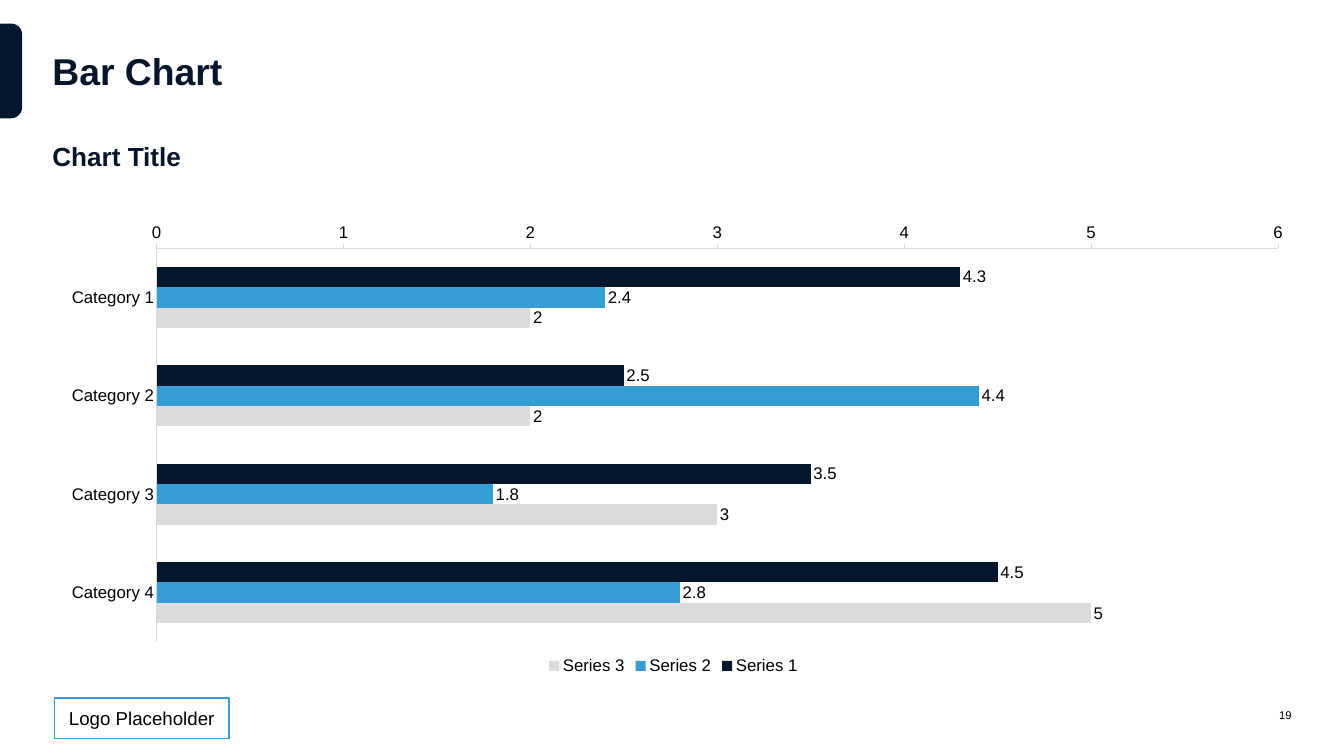
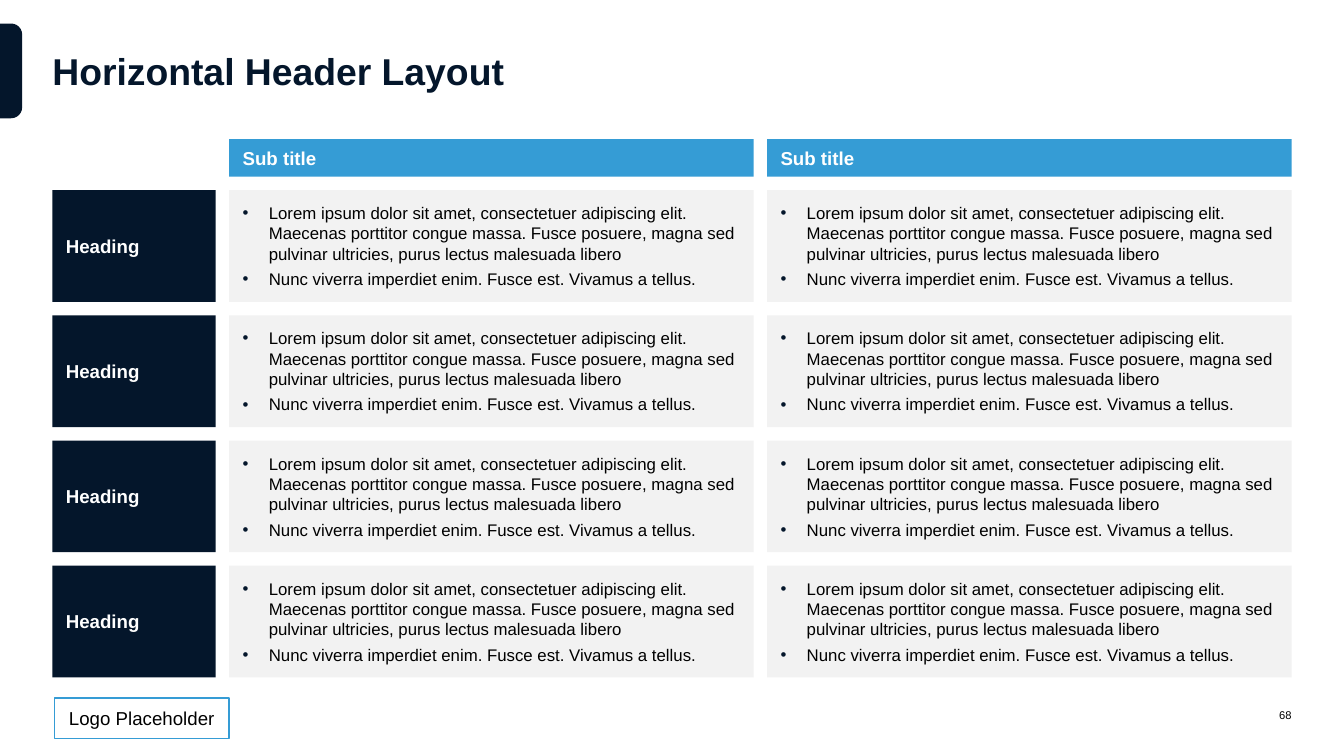
from dataclasses import dataclass

from lxml.etree import SubElement
from pptx import Presentation
from pptx.chart.data import CategoryChartData
from pptx.dml.color import RGBColor
from pptx.enum.chart import XL_CHART_TYPE, XL_LABEL_POSITION, XL_LEGEND_POSITION, XL_TICK_MARK
from pptx.enum.shapes import MSO_SHAPE
from pptx.enum.text import MSO_ANCHOR, MSO_AUTO_SIZE, PP_ALIGN
from pptx.oxml import parse_xml
from pptx.oxml.ns import nsdecls, qn
from pptx.util import Inches, Pt


@dataclass(frozen=True)
class Theme:
    """Colours, font and type sizes shared by the slides."""
    navy: str = "04162B"
    blue: str = "359CD5"
    silver: str = "DCDCDC"
    axis: str = "D9D9D9"
    panel: str = "F2F2F2"
    black: str = "000000"
    white: str = "FFFFFF"
    font: str = "Arial"
    title: int = 40
    chart_title: int = 28
    heading: int = 20
    body: int = 18
    number: int = 12


T = Theme()
LEFT, WIDTH, FOOT = 0.78, 18.44, 10.39
GAP, PAD, INDENT = 0.2, 0.2, 0.39
BULLETS = [
    "Lorem ipsum dolor sit amet, consectetuer adipiscing elit. Maecenas porttitor congue massa. "
    "Fusce posuere, magna sed pulvinar ultricies, purus lectus malesuada libero",
    "Nunc viverra imperdiet enim. Fusce est. Vivamus a tellus.",
]
CATEGORIES = [f"Category {i}" for i in range(1, 5)]
SERIES = [
    ("Series 1", (4.3, 2.5, 3.5, 4.5), T.navy),
    ("Series 2", (2.4, 4.4, 1.8, 2.8), T.blue),
    ("Series 3", (2, 2, 3, 5), T.silver),
]
PLOT = {"x": 0.083, "y": 0.133, "w": 0.905, "h": 0.793}


def apply(target, formats):
    """Set each attribute of a dict of format values."""
    for name, value in formats.items():
        setattr(target, name, value)


def style_font(font, size, color, bold=False):
    """Give a font the theme face, a size, a colour and a weight."""
    apply(font, {"name": T.font, "size": Pt(size), "bold": bold})
    font.color.rgb = RGBColor.from_string(color)


def style_line(line, color, width):
    """Give a line a colour and a width in points."""
    line.color.rgb = RGBColor.from_string(color)
    line.width = Pt(width)


def add_bullet(p):
    """Give a paragraph a hanging round bullet."""
    pPr = p._p.get_or_add_pPr()
    pPr.set("marL", str(Inches(INDENT)))
    pPr.set("indent", str(-Inches(INDENT)))
    color = SubElement(SubElement(pPr, qn("a:buClr")), qn("a:srgbClr"))
    color.set("val", T.navy)
    SubElement(pPr, qn("a:buFont")).set("typeface", T.font)
    SubElement(pPr, qn("a:buChar")).set("char", "•")


def write(sp, lines, size, color, bold=False, align=PP_ALIGN.LEFT, pad=0.0,
          anchor=MSO_ANCHOR.MIDDLE, bullets=False):
    """Fill a shape's text frame with one paragraph per line."""
    tf = sp.text_frame
    apply(tf, {"word_wrap": True, "vertical_anchor": anchor})
    apply(tf, {f"margin_{side}": Inches(pad) for side in ("left", "top", "right", "bottom")})
    for i, line in enumerate(lines):
        p = tf.add_paragraph() if i else tf.paragraphs[0]
        p.alignment = align
        if bullets:
            add_bullet(p)
            apply(p, {"space_before": Pt(3 if i else 0), "space_after": Pt(3)})
        r = p.add_run()
        r.text = line
        style_font(r.font, size, color, bold)


def add_block(s, kind, box, fill, outline=None):
    """Add a flat filled shape in a box, with an optional outline."""
    sp = s.shapes.add_shape(kind, *map(Inches, box))
    sp.shadow.inherit = False
    sp.fill.solid()
    sp.fill.fore_color.rgb = RGBColor.from_string(fill)
    if outline:
        style_line(sp.line, outline, 1.5)
    else:
        sp.line.fill.background()
    return sp


def add_text(s, box, text, size, color, **formats):
    """Add a text box without insets."""
    sp = s.shapes.add_textbox(*map(Inches, box))
    write(sp, [text], size, color, **formats)
    return sp


def add_frame(prs, title, number):
    """Add a slide with its side tab, logo box, title and page number."""
    s = prs.slides.add_slide(prs.slide_layouts[6])
    tab = add_block(s, MSO_SHAPE.ROUND_2_SAME_RECTANGLE, (-0.54, 0.89, 1.41, 0.33), T.navy)
    tab.rotation = 90
    tab.adjustments[0] = 0.5
    logo = add_block(s, MSO_SHAPE.ROUNDED_RECTANGLE, (0.81, FOOT, 2.6, 0.6), T.white, T.blue)
    logo.adjustments[0] = 0
    write(logo, ["Logo Placeholder"], T.heading, T.black, align=PP_ALIGN.CENTER, pad=0.1)
    add_text(s, (LEFT, 0.35, WIDTH, 1.39), title, T.title, T.navy, bold=True)
    add_text(s, (LEFT + WIDTH - 0.88, FOOT, 0.88, 0.51), str(number), T.number, T.black,
             align=PP_ALIGN.RIGHT)
    return s


def place_plot(chart):
    """Fix the inner plot area as fractions of the chart."""
    plot_area = chart._chartSpace.chart.plotArea
    for old in plot_area.findall(qn("c:layout")):
        plot_area.remove(old)
    modes = "".join(f'<c:{axis}Mode val="edge"/>' for axis in "xy")
    sizes = "".join(f'<c:{name} val="{value}"/>' for name, value in PLOT.items())
    plot_area.insert(0, parse_xml(
        f'<c:layout {nsdecls("c")}><c:manualLayout><c:layoutTarget val="inner"/>'
        f'{modes}{sizes}</c:manualLayout></c:layout>'))


def add_bar_chart(s, box):
    """Add the clustered bar chart in a box."""
    data = CategoryChartData()
    data.categories = CATEGORIES
    for name, values, _ in SERIES:
        data.add_series(name, values)
    chart = s.shapes.add_chart(XL_CHART_TYPE.BAR_CLUSTERED, *map(Inches, box), data).chart
    apply(chart, {"has_title": False, "has_legend": True})
    style_font(chart.font, T.body, T.black)
    apply(chart.legend, {"position": XL_LEGEND_POSITION.BOTTOM, "include_in_layout": False})
    style_font(chart.legend.font, T.body, T.black)
    ticks = ((chart.category_axis, XL_TICK_MARK.NONE), (chart.value_axis, XL_TICK_MARK.OUTSIDE))
    for axis, tick in ticks:
        apply(axis, {"major_tick_mark": tick, "minor_tick_mark": XL_TICK_MARK.NONE,
                     "has_major_gridlines": False})
        style_font(axis.tick_labels.font, T.body, T.black)
        style_line(axis.format.line, T.axis, 0.75)
    chart.category_axis.reverse_order = True
    plot = chart.plots[0]
    apply(plot, {"gap_width": 182, "overlap": 0, "vary_by_categories": False})
    for series, (_, _, color) in zip(plot.series, SERIES):
        series.format.fill.solid()
        series.format.fill.fore_color.rgb = RGBColor.from_string(color)
        apply(series.data_labels, {"show_value": True, "position": XL_LABEL_POSITION.OUTSIDE_END})
        style_font(series.data_labels.font, T.body, T.black)
    place_plot(chart)


def add_header_grid(s, box, rows=4, cols=2, head_w=2.43, head_h=0.56):
    """Add column headers, row headings and bullet panels in a box."""
    left, top, width, height = box
    col_w = (width - head_w - cols * GAP) / cols
    row_h = (height - head_h - rows * GAP) / rows
    xs = [left + head_w + GAP + i * (col_w + GAP) for i in range(cols)]
    ys = [top + head_h + GAP + i * (row_h + GAP) for i in range(rows)]
    heads = [("Sub title", (x, top, col_w, head_h), T.blue) for x in xs]
    heads += [("Heading", (left, y, head_w, row_h), T.navy) for y in ys]
    for text, cell, fill in heads:
        sp = add_block(s, MSO_SHAPE.RECTANGLE, cell, fill)
        write(sp, [text], T.heading, T.white, bold=True, pad=PAD)
    for x in xs:
        for y in ys:
            sp = add_block(s, MSO_SHAPE.RECTANGLE, (x, y, col_w, row_h), T.panel)
            write(sp, BULLETS, T.body, T.black, pad=PAD, bullets=True)


def build_chart_slide(prs):
    """Build the bar chart slide."""
    s = add_frame(prs, "Bar Chart", 19)
    add_bar_chart(s, (0.8, 2.71, WIDTH, 7.39))
    sp = add_text(s, (LEFT, 2.09, WIDTH, 0.47), "Chart Title", T.chart_title, T.navy,
                  bold=True, anchor=MSO_ANCHOR.BOTTOM)
    sp.text_frame.auto_size = MSO_AUTO_SIZE.SHAPE_TO_FIT_TEXT


def build_grid_slide(prs):
    """Build the horizontal header slide."""
    s = add_frame(prs, "Horizontal Header Layout", 68)
    add_header_grid(s, (LEFT, 2.07, WIDTH, 8.01))


def main():
    """Build and save the presentation."""
    prs = Presentation()
    apply(prs, {"slide_width": Inches(20), "slide_height": Inches(11.25)})
    build_chart_slide(prs)
    build_grid_slide(prs)
    prs.save("out.pptx")


if __name__ == "__main__":
    main()
